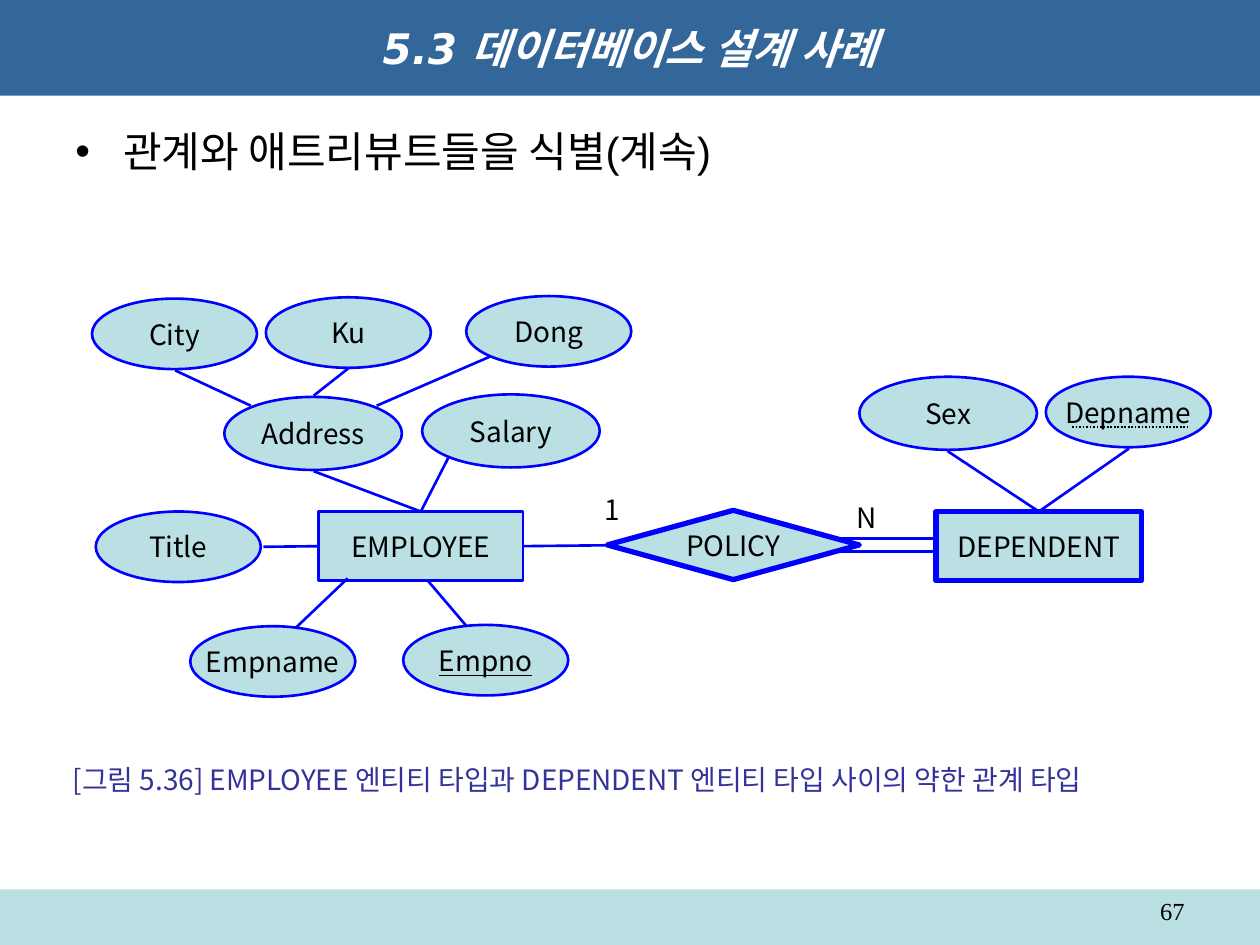
from lxml import etree
from pptx import Presentation
from pptx.dml.color import RGBColor
from pptx.enum import dml, shapes, text
from pptx.oxml.ns import qn
from pptx.util import Inches, Pt

PALE, BLUE, BLACK = "BBE0E3", "0000FF", "000000"
LABEL_FONT, KOREAN_FONT = "Noto Sans CJK JP", "Noto Sans CJK KR"
LEFT, CENTER, RIGHT = text.PP_ALIGN.LEFT, text.PP_ALIGN.CENTER, text.PP_ALIGN.RIGHT
TOP, MIDDLE = text.MSO_ANCHOR.TOP, text.MSO_ANCHOR.MIDDLE
RECTANGLE = shapes.MSO_SHAPE.RECTANGLE
SIDE_TOP, SIDE_LEFT, SIDE_RIGHT = 0, 1, 3


def color(hex_string):
    return RGBColor.from_string(hex_string)


def write(shape, words, size=16, font=LABEL_FONT, fill=BLACK, align=CENTER,
          anchor=MIDDLE, wrap=False):
    frame = shape.text_frame
    frame.text = words
    frame.word_wrap = wrap
    frame.vertical_anchor = anchor
    paragraph = frame.paragraphs[0]
    paragraph.alignment = align
    run = paragraph.runs[0]
    run.font.size = Pt(size)
    run.font.name = font
    run.font.color.rgb = color(fill)
    east_asian = KOREAN_FONT if font != LABEL_FONT else font
    etree.SubElement(run.font._element, qn("a:ea")).set("typeface", east_asian)
    return paragraph


def add_box(slide, kind, box, fill, line_width=None):
    shape = slide.shapes.add_shape(kind, *map(Inches, box))
    shape.shadow.inherit = False
    shape.fill.solid()
    shape.fill.fore_color.rgb = color(fill)
    if line_width:
        shape.line.color.rgb = color(BLUE)
        shape.line.width = Pt(line_width)
    else:
        shape.line.fill.background()
    return shape


def add_node(slide, kind, box, words, line_width=1.5):
    node = add_box(slide, kind, box, PALE, line_width)
    write(node, words)
    return node


def add_text(slide, box, words, **style):
    return write(slide.shapes.add_textbox(*map(Inches, box)), words, **style)


def add_line(slide, start, end, line_color=BLUE, width=1.5):
    line = slide.shapes.add_connector(
        shapes.MSO_CONNECTOR.STRAIGHT, *map(Inches, (*start, *end)))
    line.line.color.rgb = color(line_color)
    line.line.width = Pt(width)
    etree.SubElement(line._element.spPr, qn("a:effectLst"))
    return line


def add_attributes(slide, attributes):
    """Ellipses, given as name: (left, top, width, height)."""
    return {name: add_node(slide, shapes.MSO_SHAPE.OVAL, box, name)
            for name, box in attributes.items()}


def add_title(slide, box):
    band = add_box(slide, RECTANGLE, box, "336699")
    paragraph = write(band, "5.3 데이터베이스 설계 사례", 24, "DejaVu Sans", "FFFFFF")
    paragraph.runs[0].font.bold = True
    paragraph.runs[0].font.italic = True


def add_body(slide, box):
    paragraph = add_text(slide, box, "관계와 애트리뷰트들을 식별(계속)", size=24,
                         font="Arial", align=LEFT, anchor=TOP, wrap=True)
    properties = paragraph._p.get_or_add_pPr()
    properties.set("marL", str(Inches(0.38)))
    properties.set("indent", str(-Inches(0.38)))
    etree.SubElement(properties, qn("a:buFont")).set("typeface", "Arial")
    etree.SubElement(properties, qn("a:buChar")).set("char", "•")


def add_footer(slide, box):
    add_box(slide, RECTANGLE, box, PALE)
    add_text(slide, (7.17, box[1], 2.33, 0.29), "67", size=14,
             font="Times New Roman", align=RIGHT, anchor=TOP, wrap=True)


def add_employee(slide, box):
    left, top, width, height = box
    bottom, middle = top + height, left + width / 2
    add_line(slide, (3.32, 4.52), (3.84, 5.13))  # to Empno
    employee = add_node(slide, RECTANGLE, box, "EMPLOYEE")
    small, large = (1.31, 0.56), (1.41, 0.58)
    attributes = add_attributes(slide, {
        "Title": (0.76, 4.06, *small),
        "Address": (1.78, 3.15, *large),
        "Salary": (3.35, 3.13, *large),
        "Empname": (1.51, 4.97, *small),
        "Empno": (3.2, 4.96, *small),
        "City": (0.73, 2.37, *small),
        "Ku": (2.11, 2.36, *small),
        "Dong": (3.7, 2.35, *small),
    })
    # Key attribute
    key = attributes["Empno"].text_frame.paragraphs[0].runs[0]
    key.font.underline = True
    # Attributes joined to the entity
    for start, side in (((2.09, 4.34), SIDE_LEFT), ((2.49, 3.74), SIDE_TOP),
                        ((3.56, 3.63), SIDE_TOP)):
        add_line(slide, start, (middle, top)).end_connect(employee, side)
    add_line(slide, (2.35, 4.98), (2.76, bottom - 0.02))
    # Parts of the composite Address
    for start, end in (((1.39, 2.94), (1.99, 3.22)), ((2.77, 2.92), (2.49, 3.14)),
                       ((3.89, 2.83), (2.99, 3.22))):
        add_line(slide, start, end)
    return employee


def add_dependent(slide, box):
    left, top, width, height = box
    dependent = add_node(slide, RECTANGLE, box, "DEPENDENT", 3)
    add_attributes(slide, {"Depname": (8.3, 2.99, 1.31, 0.56),
                           "Sex": (6.82, 2.99, 1.41, 0.58)})
    for start in ((8.96, 3.56), (7.52, 3.58)):
        add_line(slide, start, (left + width / 2, top)).end_connect(dependent, SIDE_TOP)
    # Partial key: dotted underline
    partial_key = add_line(slide, (8.51, 3.39), (9.43, 3.39), BLACK, 1)
    partial_key.line.dash_style = dml.MSO_LINE.ROUND_DOT


def add_policy(slide, box, employee):
    left, top, width, height = box
    middle = top + height / 2
    add_line(slide, (4.14, middle), (left + 0.25, middle)).begin_connect(employee, SIDE_RIGHT)
    # Double line: total participation
    for offset in (-0.05, 0.05):
        add_line(slide, (6.53, middle + offset), (7.43, middle + offset))
    add_node(slide, shapes.MSO_SHAPE.DIAMOND, box, "POLICY", 3)
    # Cardinalities
    add_text(slide, (4.7, 3.86, 0.32, 0.37), "1", anchor=TOP)
    add_text(slide, (6.69, 3.92, 0.37, 0.37), "N", anchor=TOP)


def add_caption(slide, box):
    add_text(slide, box,
             "[그림 5.36] EMPLOYEE 엔티티 타입과 DEPENDENT 엔티티 타입 사이의 약한 관계 타입",
             font=KOREAN_FONT, fill="333399", align=LEFT)


def main():
    presentation = Presentation()
    presentation.slide_width, presentation.slide_height = Inches(10), Inches(7.5)
    slide = presentation.slides.add_slide(presentation.slide_layouts[6])
    add_footer(slide, (0, 7.06, 10, 0.44))
    add_title(slide, (0, 0, 10, 0.76))
    add_body(slide, (0.5, 0.95, 9, 5.95))
    employee = add_employee(slide, (2.53, 4.06, 1.62, 0.55))
    add_policy(slide, (4.82, 4.05, 2, 0.55), employee)
    add_dependent(slide, (7.43, 4.06, 1.63, 0.55))
    add_caption(slide, (0.48, 6, 9.03, 0.37))
    presentation.save("out.pptx")


if __name__ == "__main__":
    main()
